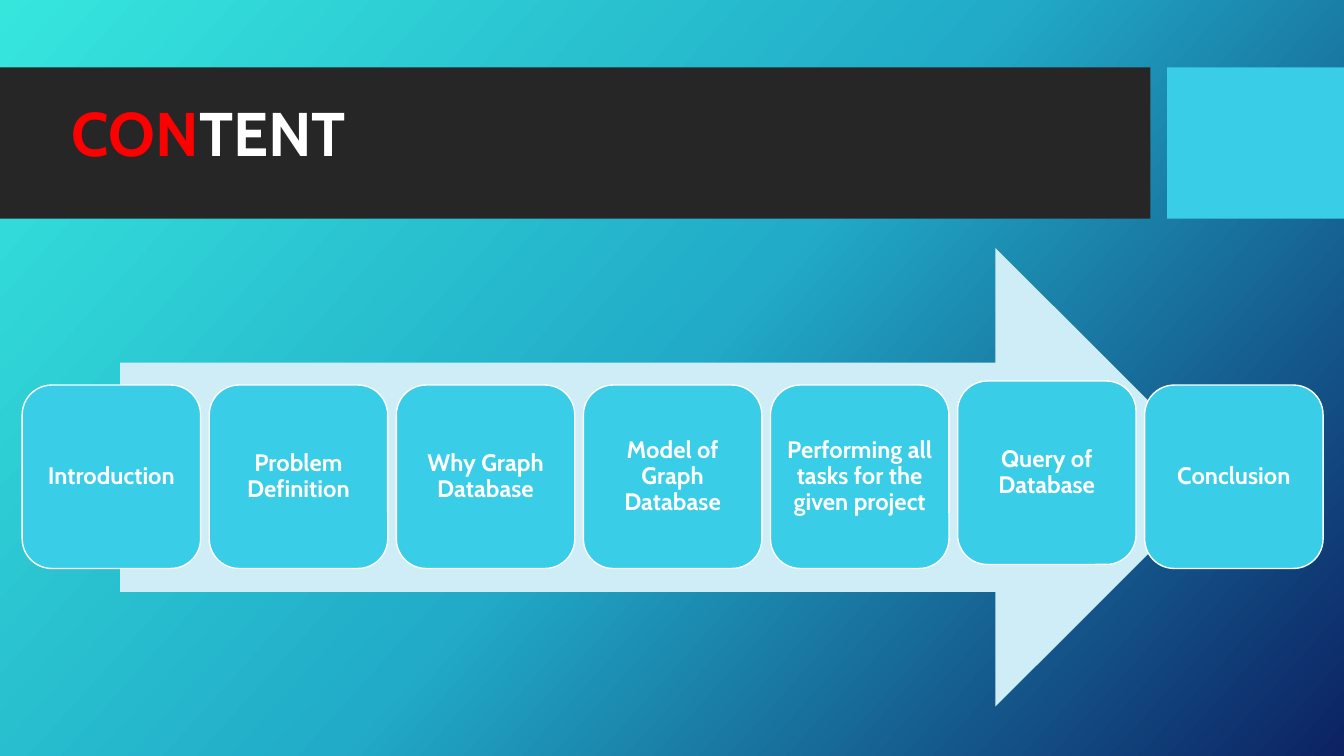
from copy import deepcopy
from dataclasses import dataclass

from pptx import Presentation
from pptx.dml.color import RGBColor
from pptx.enum.shapes import MSO_SHAPE
from pptx.enum.text import MSO_ANCHOR, MSO_AUTO_SIZE, PP_ALIGN
from pptx.oxml.ns import qn
from pptx.shapes.autoshape import Shape
from pptx.slide import Slide
from pptx.text.text import TextFrame
from pptx.util import Inches, Pt

SLIDE_WIDTH = Inches(13.33)
SLIDE_HEIGHT = Inches(7.5)


@dataclass(frozen=True)
class Theme:
    font: str = "Cabin"
    title_size: float = 44
    step_size: float = 17
    line_spacing: float = 0.9
    white: str = "FFFFFF"
    red: str = "FF0000"
    charcoal: str = "262626"
    cyan: str = "39CDE7"
    pale: str = "CEEDF6"
    backdrop: tuple[str, ...] = ("36E6DD", "21ABC8", "0C2263")
    backdrop_angle: float = 42


@dataclass(frozen=True)
class Area:
    """Percentages of the slide's width and height."""

    left: float
    top: float
    width: float
    height: float

    def emu(self) -> tuple[int, int, int, int]:
        return (
            int(SLIDE_WIDTH * self.left / 100),
            int(SLIDE_HEIGHT * self.top / 100),
            int(SLIDE_WIDTH * self.width / 100),
            int(SLIDE_HEIGHT * self.height / 100),
        )


@dataclass(frozen=True)
class Panel:
    area: Area
    fill: str
    preset: MSO_SHAPE = MSO_SHAPE.RECTANGLE


@dataclass(frozen=True)
class Step:
    label: str
    lift: float = 0


THEME = Theme()
TITLE_AREA = Area(4.58, 10.8, 78.6, 14.53)
TITLE_PARTS = (("CON", THEME.red), ("TENT", THEME.white))
PANELS = (
    Panel(Area(0, 8.93, 85.6, 20), THEME.charcoal),
    Panel(Area(86.85, 8.93, 13.15, 20), THEME.cyan),
    Panel(Area(8.93, 32.8, 82.2, 60.67), THEME.pale, MSO_SHAPE.RIGHT_ARROW),
)
FIRST_STEP = Area(1.65, 50.93, 13.28, 24.27)
STEP_PITCH = 13.92
STEPS = (
    Step("Introduction"),
    Step("Problem Definition"),
    Step("Why Graph Database"),
    Step("Model of Graph Database"),
    Step("Performing all tasks for the given project"),
    Step("Query of Database", lift=0.53),
    Step("Conclusion"),
)


def paint_backdrop(slide: Slide) -> None:
    fill = slide.background.fill
    fill.gradient()
    fill.gradient_angle = 360 - THEME.backdrop_angle
    stops = slide.element.find(".//" + qn("a:gsLst"))
    stops.append(deepcopy(stops[0]))
    last = len(THEME.backdrop) - 1
    for index, (stop, color) in enumerate(zip(fill.gradient_stops, THEME.backdrop)):
        stop.position = index / last
        stop.color.rgb = RGBColor.from_string(color)


def write(frame: TextFrame, parts: tuple[tuple[str, str], ...], size: float, align: PP_ALIGN) -> None:
    frame.word_wrap = True
    frame.auto_size = MSO_AUTO_SIZE.NONE
    frame.vertical_anchor = MSO_ANCHOR.MIDDLE
    paragraph = frame.paragraphs[0]
    paragraph.alignment = align
    paragraph.line_spacing = THEME.line_spacing
    for text, color in parts:
        run = paragraph.add_run()
        run.text = text
        run.font.name = THEME.font
        run.font.size = Pt(size)
        run.font.bold = True
        run.font.color.rgb = RGBColor.from_string(color)


def draw_panel(slide: Slide, panel: Panel) -> Shape:
    shape = slide.shapes.add_shape(panel.preset, *panel.area.emu())
    shape.shadow.inherit = False
    shape.fill.solid()
    shape.fill.fore_color.rgb = RGBColor.from_string(panel.fill)
    shape.line.fill.background()
    return shape


def draw_step(slide: Slide, index: int, step: Step) -> None:
    area = Area(
        FIRST_STEP.left + index * STEP_PITCH,
        FIRST_STEP.top - step.lift,
        FIRST_STEP.width,
        FIRST_STEP.height,
    )
    card = draw_panel(slide, Panel(area, THEME.cyan, MSO_SHAPE.ROUNDED_RECTANGLE))
    card.line.color.rgb = RGBColor.from_string(THEME.white)
    card.line.width = Pt(1)
    frame = card.text_frame
    frame.margin_left = frame.margin_right = Inches(0.07)
    frame.margin_top = frame.margin_bottom = Inches(0.07)
    write(frame, ((step.label, THEME.white),), THEME.step_size, PP_ALIGN.CENTER)


def place_title(slide: Slide) -> None:
    title = slide.shapes.title
    title.left, title.top, title.width, title.height = TITLE_AREA.emu()
    write(title.text_frame, TITLE_PARTS, THEME.title_size, PP_ALIGN.LEFT)
    title.element.getparent().append(title.element)


def main() -> None:
    deck = Presentation()
    deck.slide_width = SLIDE_WIDTH
    deck.slide_height = SLIDE_HEIGHT
    slide = deck.slides.add_slide(deck.slide_layouts.get_by_name("Title Only"))
    paint_backdrop(slide)
    for panel in PANELS:
        draw_panel(slide, panel)
    for index, step in enumerate(STEPS):
        draw_step(slide, index, step)
    place_title(slide)
    deck.save("out.pptx")


if __name__ == "__main__":
    main()
